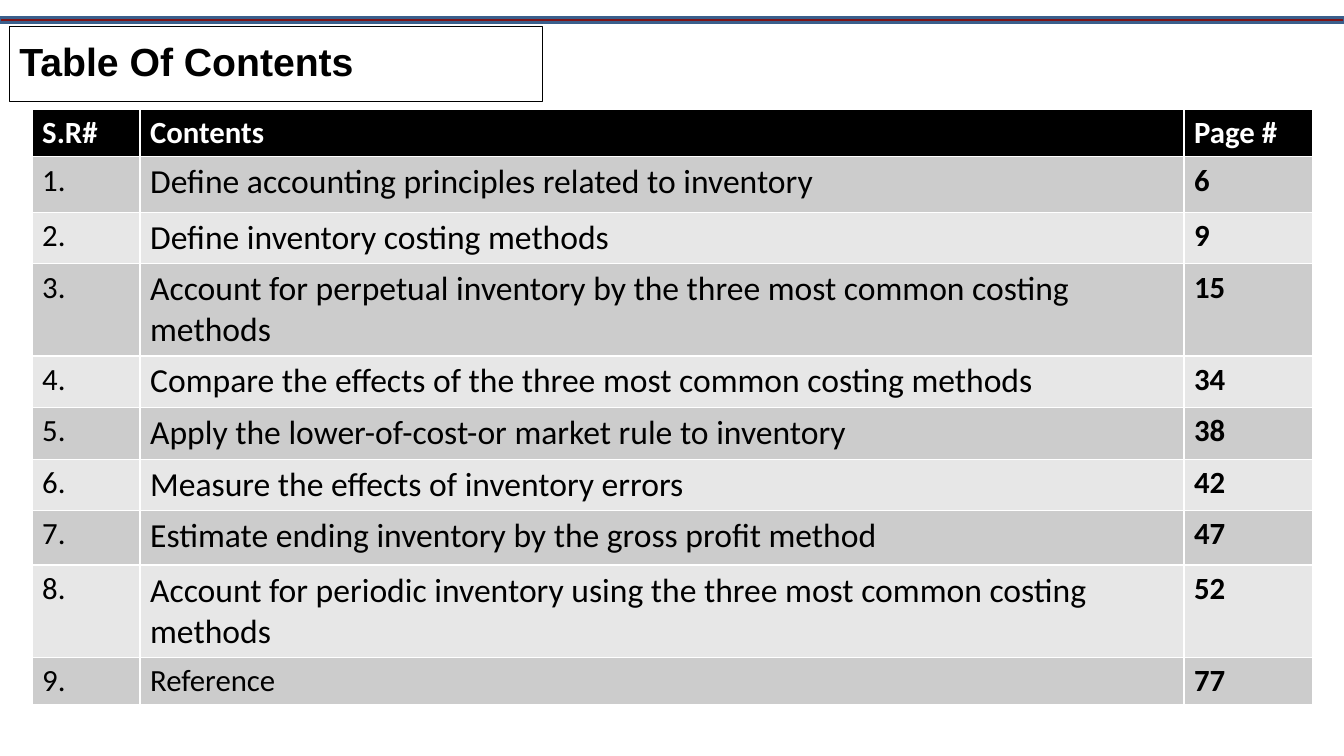
from pptx import Presentation
from pptx.dml.color import RGBColor
from pptx.enum.shapes import MSO_SHAPE
from pptx.enum.text import MSO_ANCHOR, PP_ALIGN
from pptx.util import Cm, Pt

RECTANGLE = MSO_SHAPE.RECTANGLE
MIDDLE = MSO_ANCHOR.MIDDLE
LEFT = PP_ALIGN.LEFT

BLACK = RGBColor(0x00, 0x00, 0x00)
WHITE = RGBColor(0xFF, 0xFF, 0xFF)
MAROON = RGBColor(0x7F, 0x14, 0x17)
BLUE = RGBColor(0x3A, 0x5F, 0x8C)
DARK_BAND = RGBColor(0xCC, 0xCC, 0xCC)
LIGHT_BAND = RGBColor(0xE7, 0xE7, 0xE7)

HEADER = ("S.R#", "Contents", "Page #")
HEADER_HEIGHT = 1.18
COLUMN_WIDTHS = (2.72, 26.31, 3.23)
# title, page, title size in points, row height in cm
TOPICS = [
    ("Define accounting principles related to inventory", 6, 24, 1.4),
    ("Define inventory costing methods", 9, 24, 1.3),
    ("Account for perpetual inventory by the three most common costing methods", 15, 24, 2.32),
    ("Compare the effects of the three most common costing methods", 34, 24, 1.3),
    ("Apply the lower-of-cost-or market rule to inventory", 38, 24, 1.3),
    ("Measure the effects of inventory errors", 42, 24, 1.3),
    ("Estimate ending inventory by the gross profit method", 47, 24, 1.37),
    ("Account for periodic inventory using the three most common costing methods", 52, 24, 2.32),
    ("Reference", 77, 22, 1.2),
]


def set_font(p, name, size, color, bold):
    p.font.name = name
    p.font.size = Pt(size)
    p.font.color.rgb = color
    p.font.bold = bold


def add_rectangle(slide, left, top, width, height, line_color, line_width):
    sp = slide.shapes.add_shape(RECTANGLE, left, top, width, height)
    sp.shadow.inherit = False
    sp.line.color.rgb = line_color
    sp.line.width = Pt(line_width)
    return sp


def add_top_rule(slide, left, top, width, height):
    sp = add_rectangle(slide, left, top, width, height, BLUE, 2)
    sp.fill.solid()
    sp.fill.fore_color.rgb = MAROON


def add_title(slide, left, top, width, height):
    sp = add_rectangle(slide, left, top, width, height, BLACK, 0.75)
    sp.fill.background()
    tf = sp.text_frame
    tf.word_wrap = True
    tf.vertical_anchor = MIDDLE
    p = tf.paragraphs[0]
    p.text = "Table Of Contents"
    p.alignment = LEFT
    p.line_spacing = 0.9
    set_font(p, "Arial", 28, BLACK, True)


def fill_cell(cell, text, fill, size, color, bold):
    cell.fill.solid()
    cell.fill.fore_color.rgb = fill
    p = cell.text_frame.paragraphs[0]
    p.text = text
    set_font(p, "Calibri", size, color, bold)


def add_contents_table(slide, left, top, width):
    heights = [HEADER_HEIGHT] + [topic[3] for topic in TOPICS]
    frame = slide.shapes.add_table(
        len(heights), len(HEADER), left, top, width, Cm(sum(heights)))
    table = frame.table
    for column, column_width in zip(table.columns, COLUMN_WIDTHS):
        column.width = Cm(column_width)
    for row, height in zip(table.rows, heights):
        row.height = Cm(height)

    for col, text in enumerate(HEADER):
        fill_cell(table.cell(0, col), text, BLACK, 22, WHITE, True)
    for number, (title, page, size, _) in enumerate(TOPICS, start=1):
        band = DARK_BAND if number % 2 else LIGHT_BAND
        fill_cell(table.cell(number, 0), f"{number}.", band, 22, BLACK, False)
        fill_cell(table.cell(number, 1), title, band, size, BLACK, False)
        fill_cell(table.cell(number, 2), str(page), band, 22, BLACK, True)


def main():
    prs = Presentation()
    prs.slide_width = Cm(33.87)
    prs.slide_height = Cm(19.05)
    slide = prs.slides.add_slide(prs.slide_layouts[6])
    add_top_rule(slide, 0, Cm(0.45), prs.slide_width, Cm(0.12))
    add_title(slide, Cm(0.24), Cm(0.67), Cm(13.43), Cm(1.88))
    add_contents_table(slide, Cm(0.81), Cm(2.75), Cm(sum(COLUMN_WIDTHS)))
    prs.save("out.pptx")


if __name__ == "__main__":
    main()
